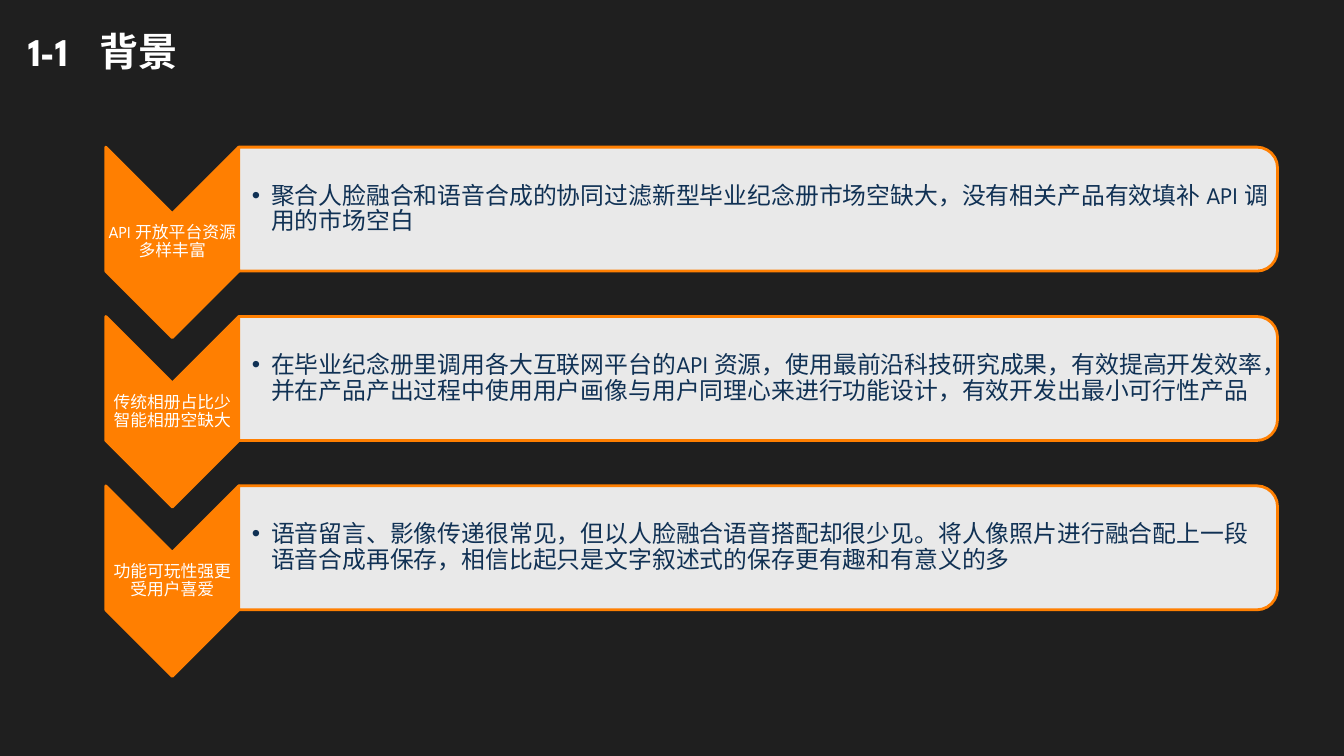
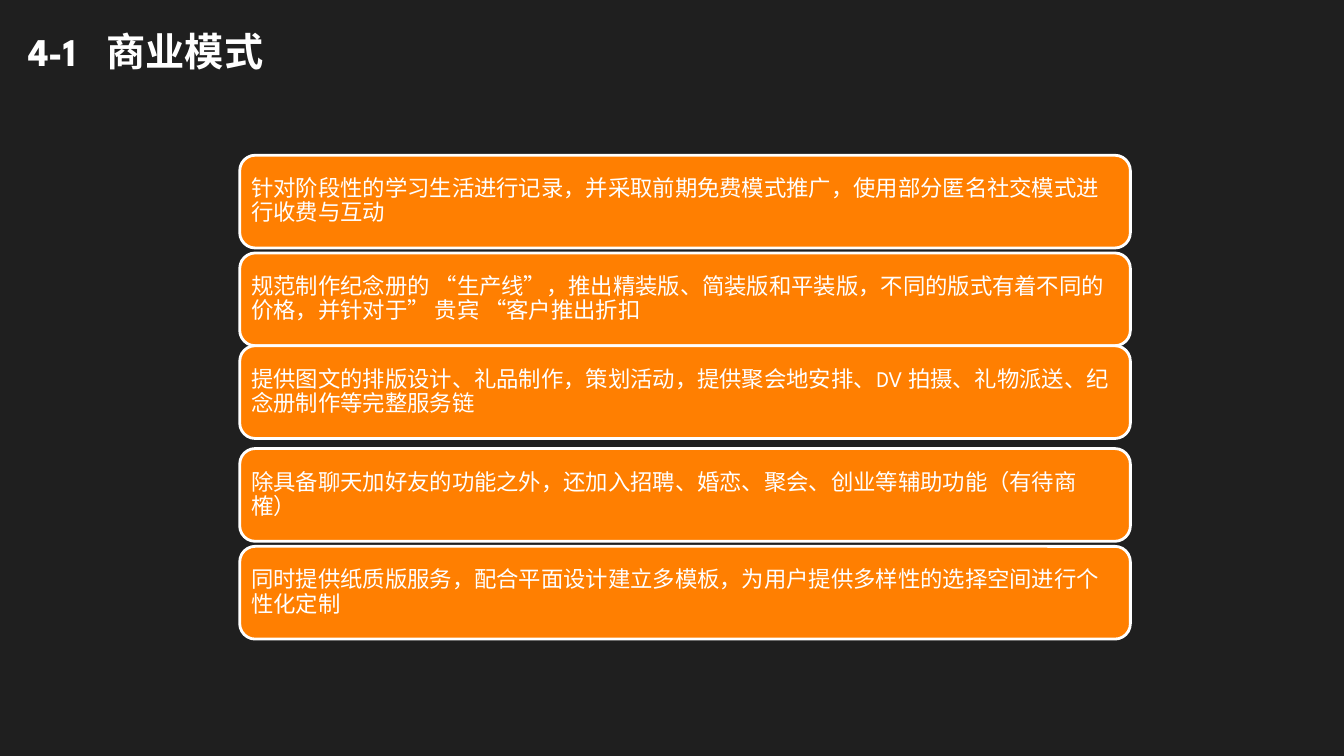
import pptx
import pptx.util
import pptx.dml.color
import pptx.enum.shapes
import pptx.enum.text
import pptx.oxml.ns
import lxml.etree

PX = 9144  # EMU in one px, 100 px to the inch
FONT = "League Spartan"
HUES = {"night": "1F1F1F", "white": "FFFFFF", "flame": "FF7F01", "navy": "103154"}
FORMS = pptx.enum.shapes.MSO_SHAPE
ALIGN = pptx.enum.text.PP_ALIGN


def px(n):
    return pptx.util.Emu(round(n * PX))


def hue(name):
    return pptx.dml.color.RGBColor.from_string(HUES[name])


def add(parent, tag, **attrs):
    node = lxml.etree.SubElement(parent, pptx.oxml.ns.qn(tag))
    for key, value in attrs.items():
        node.set(key, str(value))
    return node


class Deck:
    """Shared style and the slide being built."""

    def __init__(self):
        self.prs = pptx.Presentation()
        self.prs.slide_width, self.prs.slide_height = px(1334), px(750)
        fill = self.prs.slide_master.background.fill
        fill.solid()
        fill.fore_color.rgb = hue("night")
        self.slide = None

    def page(self, num, name, width, stop):
        """New slide with its number and, at the tab stop, its name."""
        self.slide = self.prs.slides.add_slide(self.prs.slide_layouts[5])
        title = self.slide.shapes.title
        title.left, title.top, title.width, title.height = map(px, (18, 22, width, 62))
        title.text_frame.auto_size = pptx.enum.text.MSO_AUTO_SIZE.NONE
        self.label(title, f"{num}\t{name}", 28, insets=(10, 5, 10, 5), bold=True, stop=stop)

    def label(self, shape, text, size, color="white", align=ALIGN.LEFT,
              insets=(1, 1, 1, 1), bold=False, bullet=False, stop=None):
        """Put one styled paragraph into a shape."""
        frame = shape.text_frame
        frame.word_wrap = True
        frame.vertical_anchor = pptx.enum.text.MSO_ANCHOR.MIDDLE
        (frame.margin_left, frame.margin_top,
         frame.margin_right, frame.margin_bottom) = map(px, insets)
        para = frame.paragraphs[0]
        para.text = text
        props = para._p.get_or_add_pPr()
        if bullet:
            props.set("marL", str(px(19)))
            props.set("indent", str(px(-19)))
            add(props, "a:buFont", typeface="Arial")
            add(props, "a:buChar", char="•")
        if stop:
            add(add(props, "a:tabLst"), "a:tab", pos=px(stop), algn="l")
        para.alignment, para.line_spacing = align, 0.9
        font = para.font
        font.name, font.size, font.bold = FONT, pptx.util.Pt(size), bold
        font.color.rgb = hue(color)

    def shape(self, form, x, y, w, h, fill, line, turn=False, alpha=None):
        """Shape filling the box as seen, even after a quarter turn."""
        if turn:
            x, y, w, h = x + (w - h) / 2, y + (h - w) / 2, h, w
        item = self.slide.shapes.add_shape(form, px(x), px(y), px(w), px(h))
        item.shadow.inherit = False
        item.rotation = 90 if turn else 0
        item.fill.solid()
        item.fill.fore_color.rgb = hue(fill)
        item.line.color.rgb = hue(line)
        item.line.width = pptx.util.Pt(2)
        if alpha:
            color = item._element.spPr.find(".//" + pptx.oxml.ns.qn("a:srgbClr"))
            add(color, "a:alpha", val=alpha * 1000)
        return item

    def text(self, x, y, w, h, text, size, **style):
        box = self.slide.shapes.add_textbox(px(x), px(y), px(w), px(h))
        self.label(box, text, size, **style)

    def step(self, top, name, point):
        """Chevron with its name, and the panel beside it."""
        self.shape(FORMS.CHEVRON, 105, top, 132, 189, "flame", "flame", turn=True)
        self.text(105, top + 66, 132, 57, name, 12, align=ALIGN.CENTER)
        self.shape(FORMS.ROUND_2_SAME_RECTANGLE, 237, top, 1031, 123,
                   "white", "flame", turn=True, alpha=90)
        self.text(237, top + 6, 1025, 111, point, 17, color="navy",
                  insets=(13, 1, 1, 1), bullet=True)

    def card(self, top, text):
        item = self.shape(FORMS.ROUNDED_RECTANGLE, 238, top, 884, 92, "flame", "white")
        self.label(item, text, 16, insets=(7, 7, 7, 7))


STEPS = [
    ("API 开放平台资源多样丰富",
     "聚合人脸融合和语音合成的协同过滤新型毕业纪念册市场空缺大，没有相关产品有效填补 API 调用的市场空白"),
    ("传统相册占比少智能相册空缺大",
     "在毕业纪念册里调用各大互联网平台的API 资源，使用最前沿科技研究成果，有效提高开发效率，"
     "并在产品产出过程中使用用户画像与用户同理心来进行功能设计，有效开发出最小可行性产品"),
    ("功能可玩性强更受用户喜爱",
     "语音留言、影像传递很常见，但以人脸融合语音搭配却很少见。将人像照片进行融合配上一段语音合成再保存，"
     "相信比起只是文字叙述式的保存更有趣和有意义的多"),
]

CARDS = [
    (154, "针对阶段性的学习生活进行记录，并采取前期免费模式推广，使用部分匿名社交模式进行收费与互动"),
    (251, "规范制作纪念册的 “生产线”，推出精装版、简装版和平装版，不同的版式有着不同的价格，"
          "并针对于” 贵宾 “客户推出折扣"),
    (343, "提供图文的排版设计、礼品制作，策划活动，提供聚会地安排、DV 拍摄、礼物派送、纪念册制作等完整服务链"),
    (445, "除具备聊天加好友的功能之外，还加入招聘、婚恋、聚会、创业等辅助功能（有待商榷）"),
    (542, "同时提供纸质版服务，配合平面设计建立多模板，为用户提供多样性的选择空间进行个性化定制"),
]


def main():
    deck = Deck()

    # Background: three steps
    deck.page("1-1", "背景", 275, 71)
    for i, (name, point) in enumerate(STEPS):
        deck.step(146 + 168 * i, name, point)

    # Business model: five cards
    deck.page("4-1", "商业模式", 380, 78)
    for top, text in CARDS:
        deck.card(top, text)

    deck.prs.save("out.pptx")


if __name__ == "__main__":
    main()
